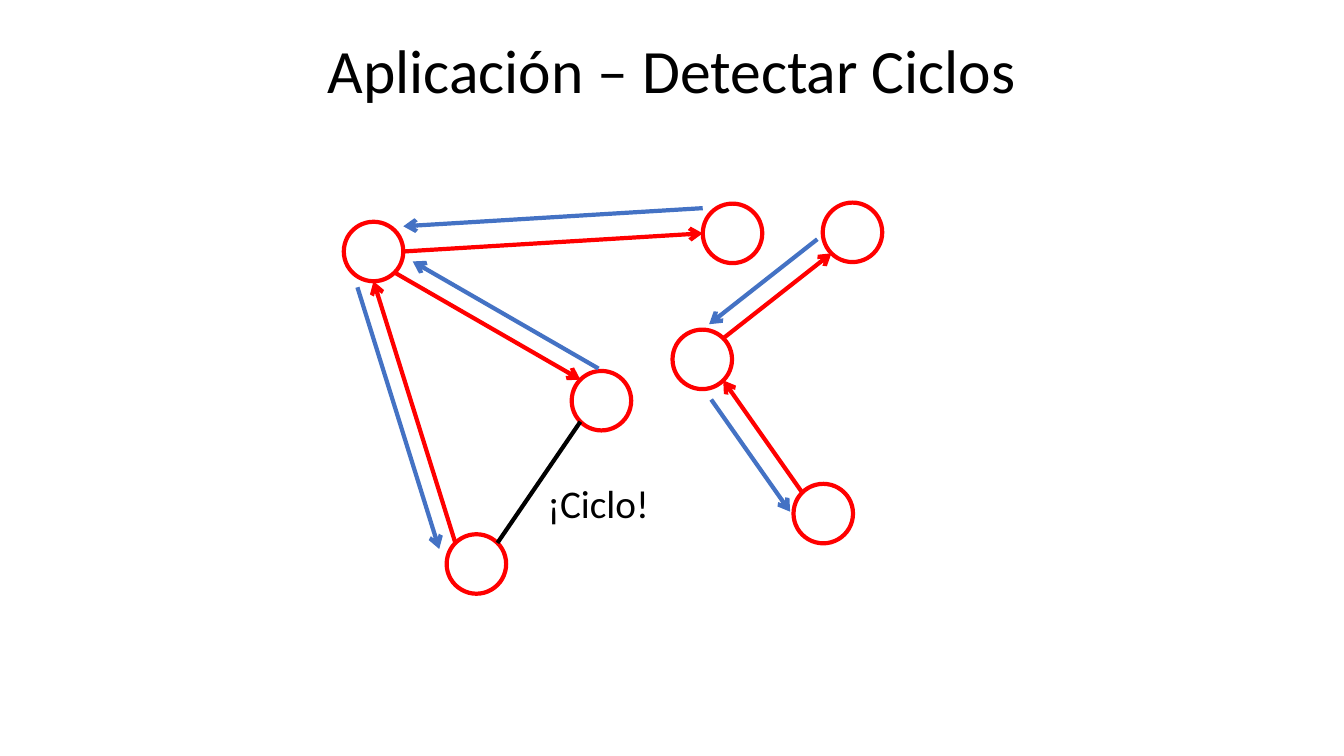
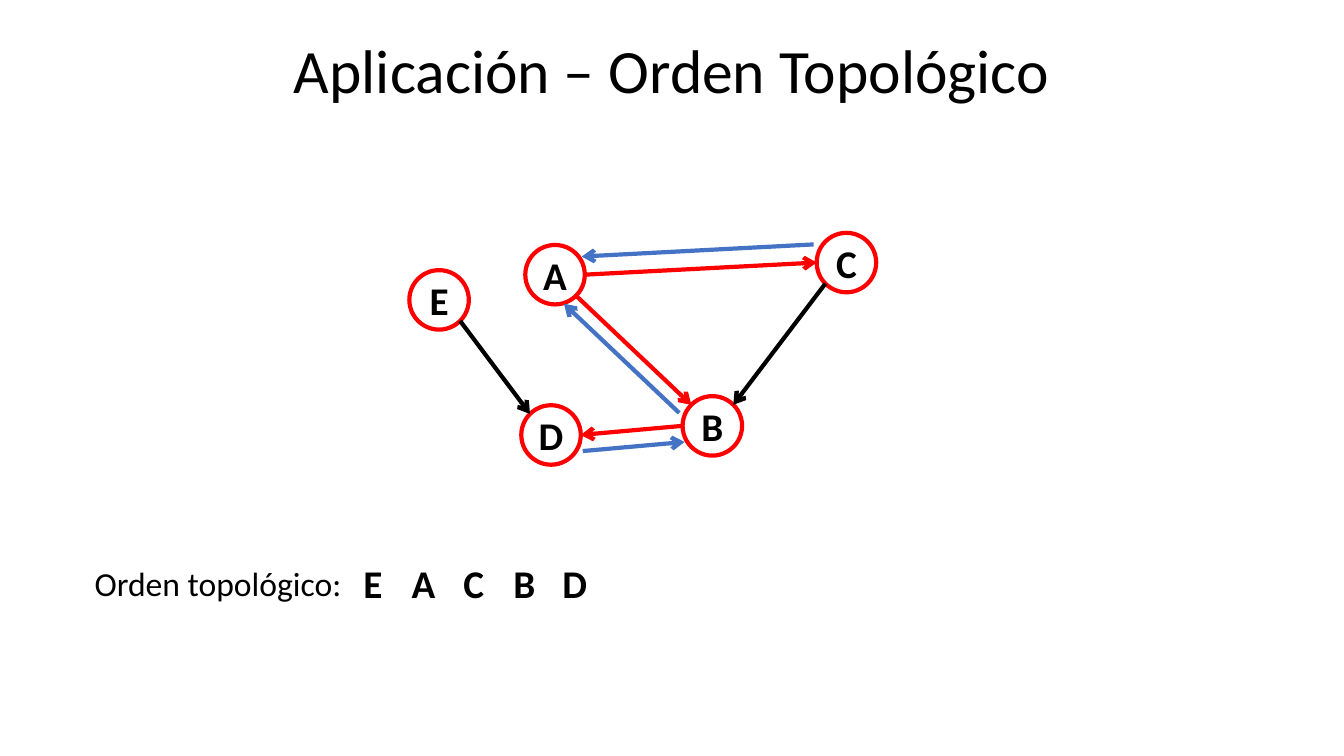
"""Two slides on graph searches: cycle detection and topological order."""
from dataclasses import dataclass
from math import cos, radians, sin

from lxml.etree import SubElement
from pptx import Presentation
from pptx.dml.color import RGBColor as RGB
from pptx.enum.shapes import MSO_CONNECTOR as Link, MSO_SHAPE as Kind
from pptx.enum.text import MSO_ANCHOR as Anchor, PP_ALIGN as Align
from pptx.oxml.ns import qn
from pptx.util import Inches, Pt


@dataclass(frozen=True)
class Theme:
    font: str = "Calibri"
    ink: RGB = RGB(0, 0, 0)
    tree: RGB = RGB(0xFF, 0, 0)
    back: RGB = RGB(0x44, 0x72, 0xC4)
    title: int = 44
    label: int = 28
    note: int = 24
    line: int = 3


THEME = Theme()
WIDE, HIGH = 13.33, 7.5
SIZE = 0.59
ANGLES = {"r": 0, "br": 45, "b": 90, "bl": 135, "l": 180, "tl": 225, "t": 270, "tr": 315}

# Nodes: left, top. Tree edges: from, side, to, side, shift of the way back.
# Extra edges: from, side, to, side, arrow.
CYCLE = {
    "title": "Aplicación – Detectar Ciclos",
    "named": False,
    "nodes": {
        "A": (3.41, 2.2), "B": (6.97, 2.02), "C": (5.67, 3.68), "D": (6.67, 3.27),
        "E": (7.87, 4.8), "F": (8.16, 2.01), "G": (4.43, 5.3),
    },
    "tree": [
        ("A", "r", "B", "l", (0, -0.25)),
        ("A", "br", "C", "tl", (0.18, -0.11)),
        ("G", "tl", "A", "b", (-0.16, 0.06)),
        ("D", "tr", "F", "bl", (-0.14, -0.14)),
        ("E", "tl", "D", "br", (-0.12, 0.19)),
    ],
    "extra": [("G", "tr", "C", "bl", False)],
}
ORDER = {
    "title": "Aplicación – Orden Topológico",
    "named": True,
    "nodes": {
        "A": (5.21, 2.43), "B": (6.77, 3.93), "C": (8.1, 2.31),
        "D": (5.17, 4.02), "E": (4.06, 2.68),
    },
    "tree": [
        ("A", "r", "C", "l", (-0.03, -0.18)),
        ("A", "br", "B", "tl", (-0.12, 0.08)),
        ("B", "l", "D", "r", (0.02, 0.16)),
    ],
    "extra": [("C", "bl", "B", "tr", True), ("E", "br", "D", "tl", True)],
}
SORTED = "EACBD"


def style(para, size, bold=False, align=Align.LEFT):
    para.alignment = align
    font = para.font
    font.name, font.size, font.bold = THEME.font, Pt(size), bold
    font.color.rgb = THEME.ink


def add_text(slide, text, box, size, **look):
    frame = slide.shapes.add_textbox(*map(Inches, box)).text_frame
    frame.word_wrap = True
    frame.text = text
    style(frame.paragraphs[0], size, **look)


def add_node(slide, spot, name):
    node = slide.shapes.add_shape(Kind.OVAL, *map(Inches, (*spot, SIZE, SIZE)))
    node.shadow.inherit = False
    node.fill.background()
    node.line.color.rgb = THEME.tree
    node.line.width = Pt(THEME.line)
    if name:
        frame = node.text_frame
        frame.margin_left = frame.margin_right = 0
        frame.margin_top = frame.margin_bottom = 0
        frame.vertical_anchor = Anchor.MIDDLE
        frame.text = name
        style(frame.paragraphs[0], THEME.label, bold=True, align=Align.CENTER)


def add_edge(slide, start, end, color, arrow=True):
    edge = slide.shapes.add_connector(Link.STRAIGHT, *map(Inches, (*start, *end)))
    edge.line.color.rgb = color
    edge.line.width = Pt(THEME.line)
    if arrow:
        SubElement(edge.line._get_or_add_ln(), qn("a:tailEnd"), type="arrow")
    SubElement(edge._element.spPr, qn("a:effectLst"))


def rim(spot, side):
    turn, half = radians(ANGLES[side]), SIZE / 2
    return spot[0] + half * (1 + cos(turn)), spot[1] + half * (1 + sin(turn))


def shift(point, move):
    return point[0] + move[0], point[1] + move[1]


def add_graph(deck, graph):
    slide = deck.slides.add_slide(deck.slide_layouts[5])
    title = slide.shapes.title
    title.left, title.top, title.width, title.height = map(Inches, (0, 0, WIDE, 1.45))
    title.text_frame.vertical_anchor = Anchor.MIDDLE
    title.text_frame.text = graph["title"]
    para = title.text_frame.paragraphs[0]
    para.line_spacing = 0.9
    style(para, THEME.title, align=Align.CENTER)

    nodes = graph["nodes"]
    for name, spot in nodes.items():
        add_node(slide, spot, name if graph["named"] else "")
    for tail, out, head, into, move in graph["tree"]:
        start, end = rim(nodes[tail], out), rim(nodes[head], into)
        add_edge(slide, start, end, THEME.tree)
        add_edge(slide, shift(end, move), shift(start, move), THEME.back)
    for tail, out, head, into, arrow in graph["extra"]:
        add_edge(slide, rim(nodes[tail], out), rim(nodes[head], into), THEME.ink, arrow)
    return slide


def main():
    deck = Presentation()
    deck.slide_width, deck.slide_height = Inches(WIDE), Inches(HIGH)

    slide = add_graph(deck, CYCLE)
    add_text(slide, "¡Ciclo!", (5.33, 4.71, 1.3, 0.57), THEME.label)

    slide = add_graph(deck, ORDER)
    add_text(slide, "Orden topológico:", (0.84, 5.54, 2.83, 0.5), THEME.note)
    for step, name in enumerate(SORTED):
        box = (3.45 + 0.5 * step, 5.5, 0.5, 0.57)
        add_text(slide, name, box, THEME.label, bold=True, align=Align.CENTER)

    deck.save("out.pptx")


if __name__ == "__main__":
    main()
